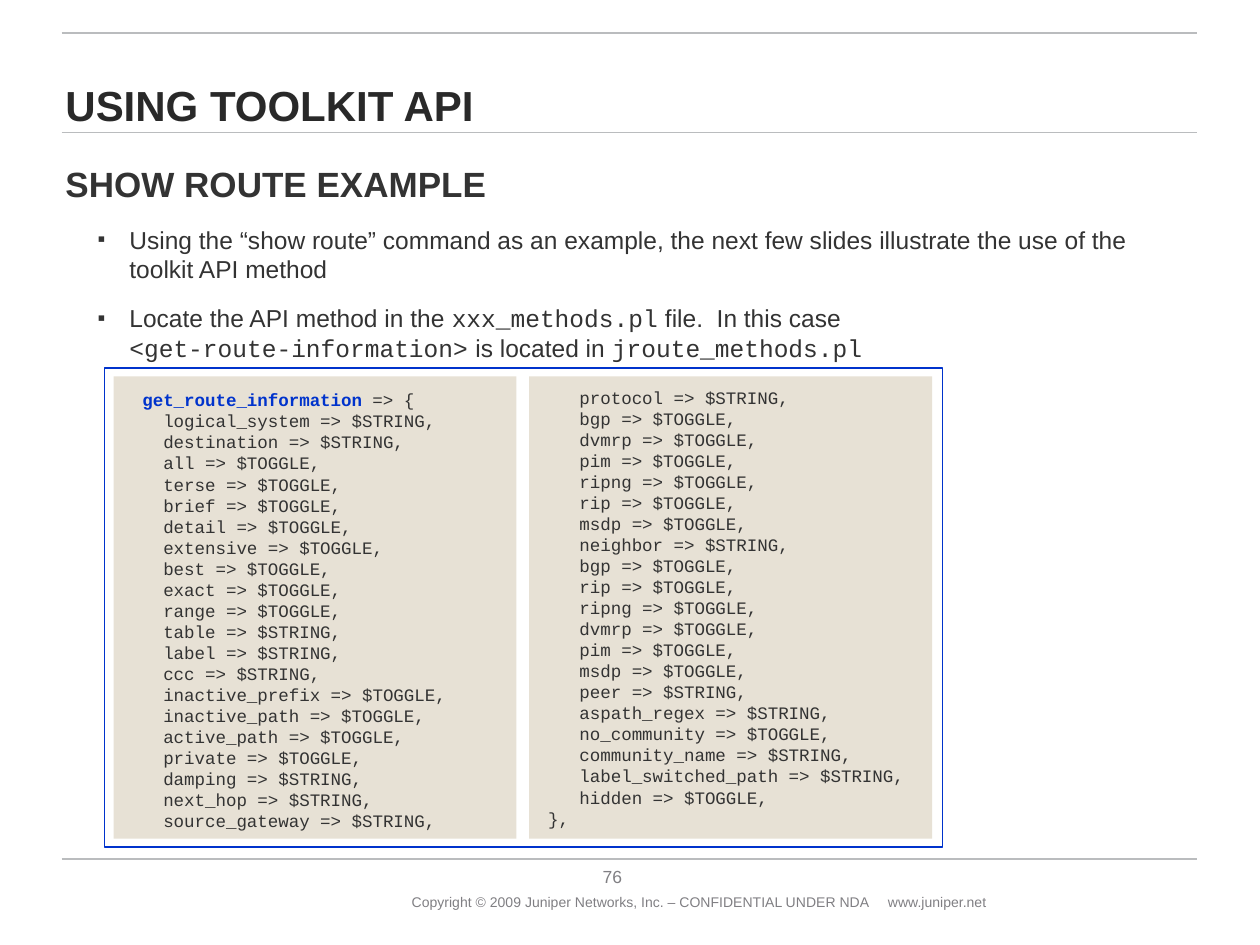
from lxml.etree import SubElement
from pptx import Presentation
from pptx.dml.color import RGBColor
from pptx.enum.shapes import MSO_CONNECTOR, MSO_SHAPE
from pptx.enum.text import MSO_ANCHOR, PP_ALIGN
from pptx.oxml.ns import qn
from pptx.util import Cm, Pt

RULE_GREY = RGBColor(0xBA, 0xBC, 0xBE)
FOOTER_GREY = RGBColor(0x80, 0x7F, 0x83)
TITLE_DARK = RGBColor(0x29, 0x29, 0x29)
TEXT_DARK = RGBColor(0x33, 0x33, 0x33)
BLUE = RGBColor(0x00, 0x33, 0xCC)
BEIGE = RGBColor(0xE7, 0xE1, 0xD5)
SANS, MONO = "Arial", "Courier New"

CODE_LEFT = """ => {
   logical_system => $STRING,
   destination => $STRING,
   all => $TOGGLE,
   terse => $TOGGLE,
   brief => $TOGGLE,
   detail => $TOGGLE,
   extensive => $TOGGLE,
   best => $TOGGLE,
   exact => $TOGGLE,
   range => $TOGGLE,
   table => $STRING,
   label => $STRING,
   ccc => $STRING,
   inactive_prefix => $TOGGLE,
   inactive_path => $TOGGLE,
   active_path => $TOGGLE,
   private => $TOGGLE,
   damping => $STRING,
   next_hop => $STRING,
   source_gateway => $STRING,"""

CODE_RIGHT = """   protocol => $STRING,
   bgp => $TOGGLE,
   dvmrp => $TOGGLE,
   pim => $TOGGLE,
   ripng => $TOGGLE,
   rip => $TOGGLE,
   msdp => $TOGGLE,
   neighbor => $STRING,
   bgp => $TOGGLE,
   rip => $TOGGLE,
   ripng => $TOGGLE,
   dvmrp => $TOGGLE,
   pim => $TOGGLE,
   msdp => $TOGGLE,
   peer => $STRING,
   aspath_regex => $STRING,
   no_community => $TOGGLE,
   community_name => $STRING,
   label_switched_path => $STRING,
   hidden => $TOGGLE,
},"""


def add_rule(s, y):
    line = s.shapes.add_connector(MSO_CONNECTOR.STRAIGHT, Cm(1.24), Cm(y), Cm(24.13), Cm(y))
    line.line.color.rgb = RULE_GREY
    line.line.width = Pt(1)
    SubElement(line._element.spPr, qn("a:effectLst"))


def add_rect(s, x, y, w, h, fill=None, outline=None):
    sp = s.shapes.add_shape(MSO_SHAPE.RECTANGLE, Cm(x), Cm(y), Cm(w), Cm(h))
    sp.shadow.inherit = False
    if fill is not None:
        sp.fill.solid()
        sp.fill.fore_color.rgb = fill
    else:
        sp.fill.background()
    if outline is not None:
        sp.line.color.rgb = outline
        sp.line.width = Pt(1)
    else:
        sp.line.fill.background()


def add_box(s, x, y, w, h, left=0.25, anchor=MSO_ANCHOR.TOP):
    tf = s.shapes.add_textbox(Cm(x), Cm(y), Cm(w), Cm(h)).text_frame
    tf.word_wrap = True
    tf.vertical_anchor = anchor
    tf.margin_left, tf.margin_right = Cm(left), Cm(0.25)
    tf.margin_top = tf.margin_bottom = Cm(0.13)
    return tf


def add_run(p, text, size, color=TEXT_DARK, font=SANS, bold=False):
    r = p.add_run()
    r.text = text
    r.font.name, r.font.size, r.font.bold = font, Pt(size), bold
    r.font.color.rgb = color


def add_bullet(tf):
    p = tf.add_paragraph()
    p.level = 1
    pPr = p._p.get_or_add_pPr()
    pPr.set("marL", str(Cm(1.59)))
    pPr.set("indent", str(-Cm(0.64)))
    SubElement(pPr, qn("a:buSzPct"), val="90000")
    SubElement(pPr, qn("a:buFont"), typeface=SANS)
    SubElement(pPr, qn("a:buChar"), char="▪")
    p.space_before = Pt(11.4)
    return p


def add_code(s, x, y, w, h, code, keyword=None):
    tf = add_box(s, x, y, w, h)
    for i, text in enumerate(code.split("\n")):
        p = tf.add_paragraph() if i else tf.paragraphs[0]
        if keyword and i == 0:
            add_run(p, " ", 10, font=MONO)
            add_run(p, keyword, 10, BLUE, MONO, True)
        add_run(p, text, 10, font=MONO)


def add_footer(s):
    tf = add_box(s, 11.61, 17.32, 1.47, 0.56, 0, MSO_ANCHOR.BOTTOM)
    tf.margin_right = tf.margin_top = tf.margin_bottom = 0
    p = tf.paragraphs[0]
    p.alignment = PP_ALIGN.CENTER
    add_run(p, "76", 10, FOOTER_GREY)

    p = add_box(s, 8.05, 17.88, 12.32, 0.61).paragraphs[0]
    tabs = SubElement(p._p.get_or_add_pPr(), qn("a:tabLst"))
    SubElement(tabs, qn("a:tab"), pos=str(Cm(9.6)), algn="l")
    add_run(p, "Copyright © 2009 Juniper Networks, Inc. – CONFIDENTIAL UNDER NDA\twww.juniper.net",
            8, FOOTER_GREY)


def add_body(s):
    tf = add_box(s, 1.02, 3.15, 22.83, 4.72, 0)
    p = tf.paragraphs[0]
    p._p.get_or_add_pPr().set("marL", str(Cm(0.3)))
    add_run(p, "SHOW ROUTE EXAMPLE", 20, bold=True)

    p = add_bullet(tf)
    add_run(p, "Using the “show route” command as an example, the next few slides "
               "illustrate the use of the toolkit API method", 14)

    p = add_bullet(tf)
    add_run(p, "Locate the API method in the ", 14)
    add_run(p, "xxx_methods.pl", 14, font=MONO)
    add_run(p, " file.  In this case ", 14)
    p.add_line_break()
    add_run(p, "<get-route-information>", 14, font=MONO)
    add_run(p, " is located in ", 14)
    add_run(p, "jroute_methods.pl", 14, font=MONO)


def main():
    prs = Presentation()
    prs.slide_width, prs.slide_height = Cm(25.4), Cm(19.05)
    s = prs.slides.add_slide(prs.slide_layouts[6])

    # Rules and footer
    for y in (17.32, 2.67, 0.66):
        add_rule(s, y)
    add_footer(s)

    # Code panels
    for x in (10.67, 2.29):
        add_rect(s, x, 7.59, 8.12, 9.32, fill=BEIGE)

    # Title and body
    p = add_box(s, 1.32, 0.71, 22.83, 2.06, 0, MSO_ANCHOR.BOTTOM).paragraphs[0]
    p.line_spacing = 0.9
    add_run(p, "USING TOOLKIT API", 24, TITLE_DARK, bold=True)
    add_body(s)

    # Code listing and its frame
    add_code(s, 2.41, 7.72, 7.72, 9.6, CODE_LEFT, "get_route_information")
    add_code(s, 10.8, 7.67, 8.53, 9.17, CODE_RIGHT)
    add_rect(s, 2.11, 7.42, 16.89, 9.65, outline=BLUE)

    prs.save("out.pptx")


if __name__ == "__main__":
    main()
